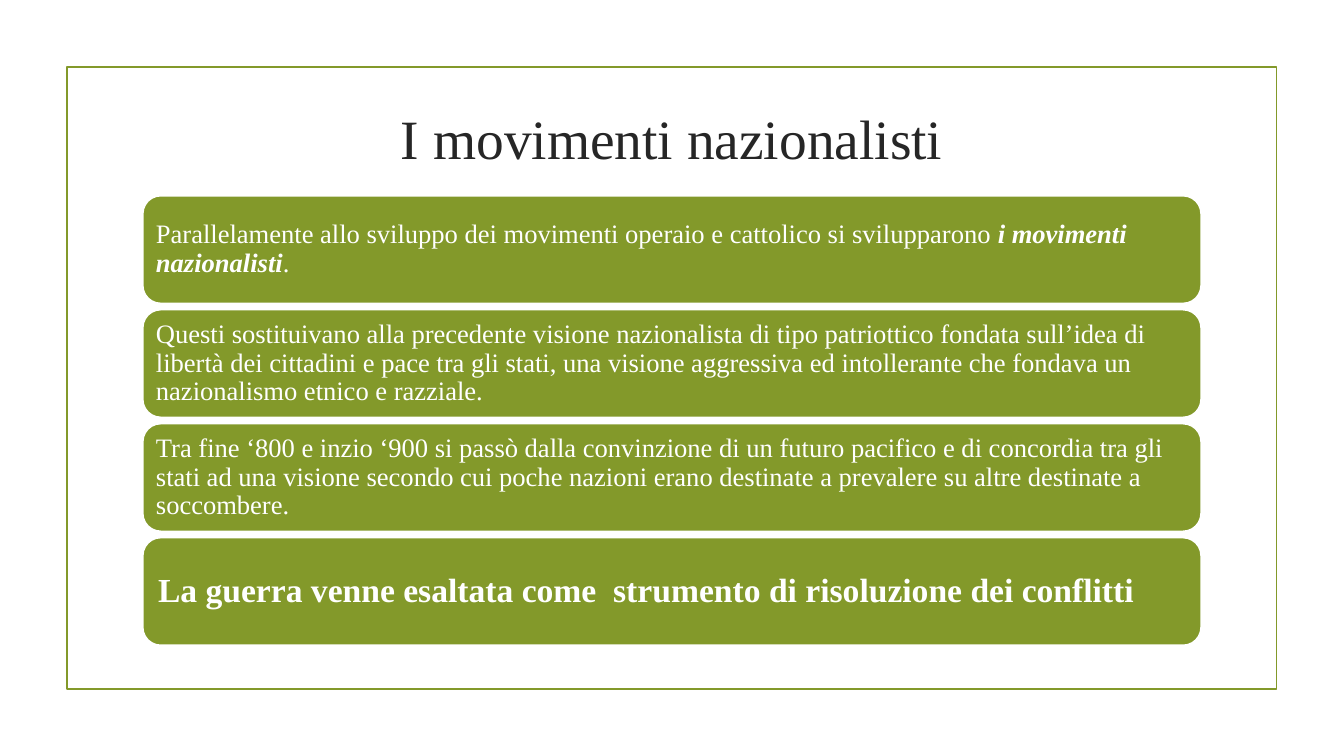
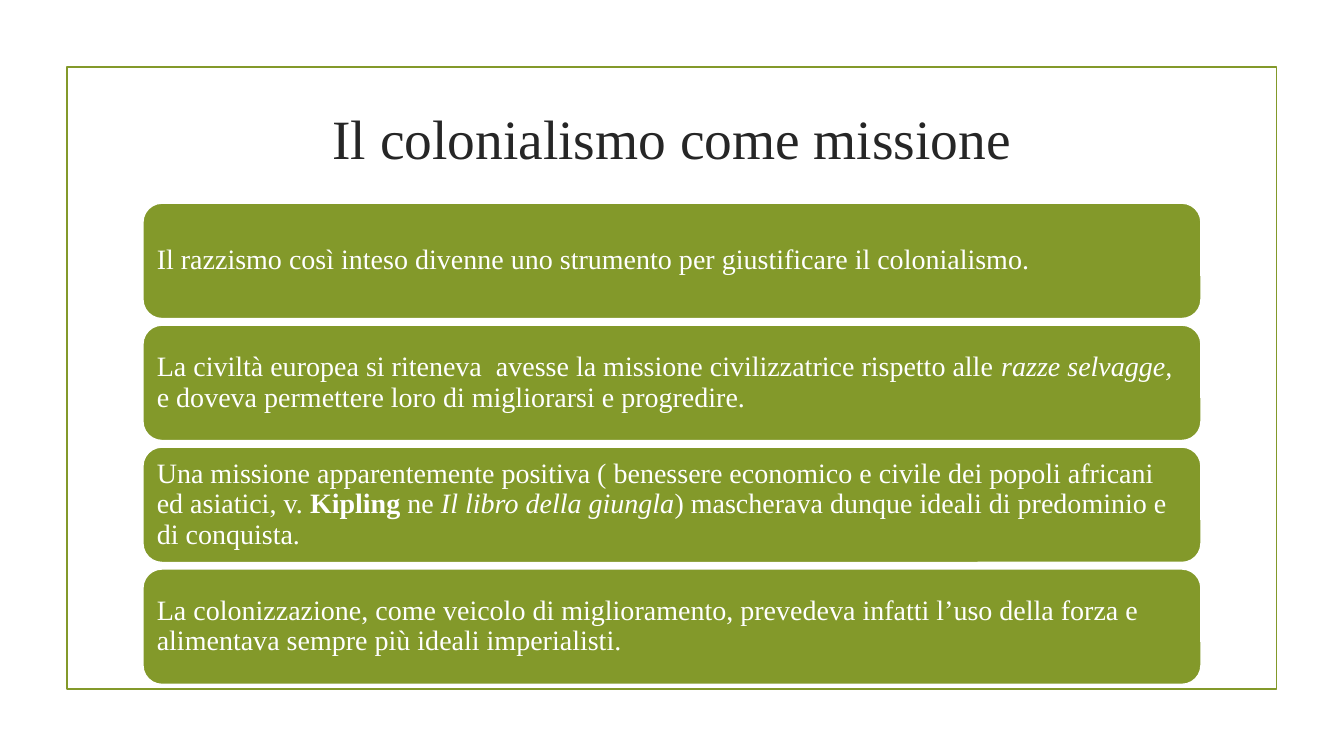
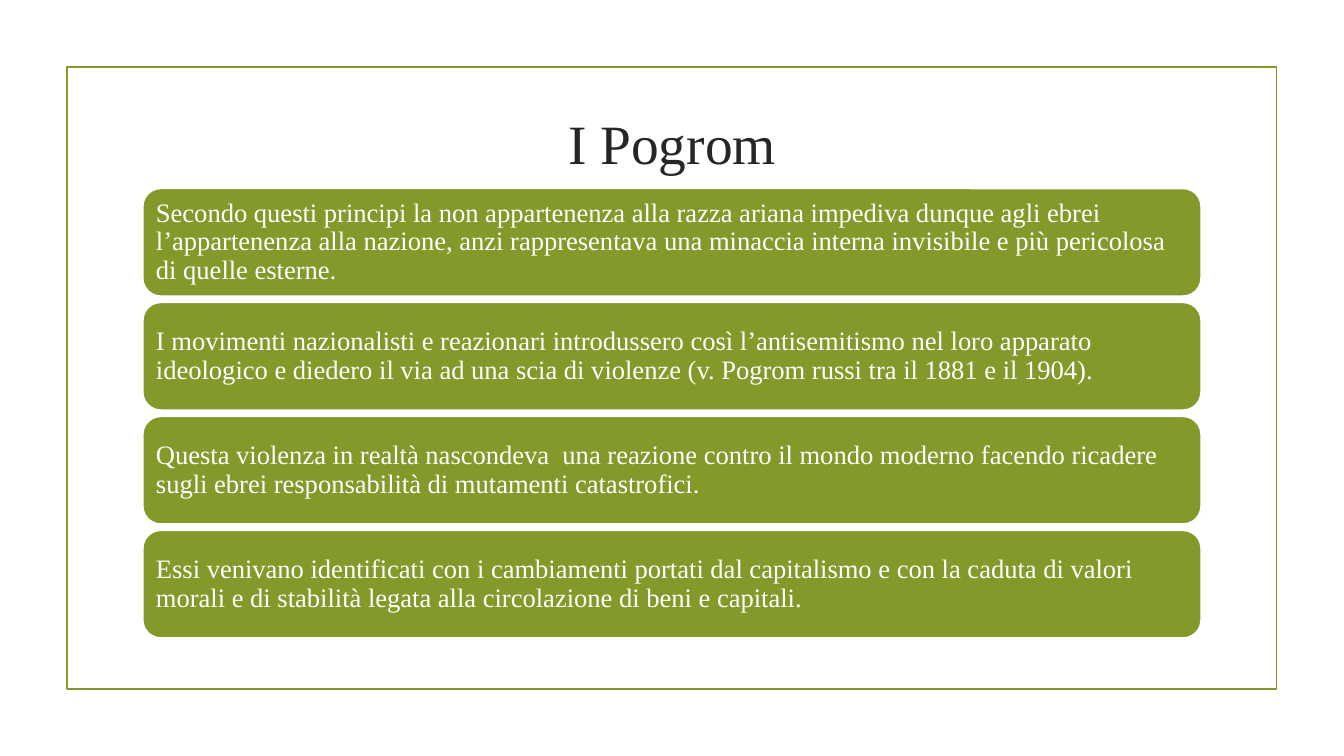
from pptx import Presentation
from pptx.dml.color import RGBColor
from pptx.enum.shapes import MSO_SHAPE as Kind
from pptx.enum.text import MSO_ANCHOR as Anchor, PP_ALIGN as Align
from pptx.util import Pt

GREEN = RGBColor(0x83, 0x99, 0x2A)
WHITE = RGBColor(0xFF, 0xFF, 0xFF)
DARK = RGBColor(0x26, 0x26, 0x26)
FONT = "Times New Roman"
LEFT, WIDTH, GAP = 102, 756, 4.4
EDGE = 1.25

PAGES = [
    ("I movimenti nazionalisti", 42.5, 139.8, 77, [
        (19, [("Parallelamente allo sviluppo dei movimenti operaio e cattolico si svilupparono ", ""),
              ("i movimenti nazionalisti", "bi"), (".", "")]),
        (19, [("Questi sostituivano alla precedente visione nazionalista di tipo patriottico fondata "
               "sull’idea di libertà dei cittadini e pace tra gli stati, una visione aggressiva ed "
               "intollerante che fondava un nazionalismo etnico e razziale.", "")]),
        (19, [("Tra fine ‘800 e inzio ‘900 si passò dalla convinzione di un futuro pacifico e di "
               "concordia tra gli stati ad una visione secondo cui poche nazioni erano destinate a "
               "prevalere su altre destinate a soccombere.", "")]),
        (24, [("La guerra venne esaltata come  strumento di risoluzione dei conflitti", "b")]),
    ]),
    ("Il colonialismo come missione", 42.5, 145, 82.7, [
        (20, [("Il razzismo così inteso divenne uno strumento per giustificare il colonialismo.", "")]),
        (20, [("La civiltà europea si riteneva  avesse la missione civilizzatrice rispetto alle ", ""),
              ("razze selvagge, ", "i"),
              ("e doveva permettere loro di migliorarsi e progredire.", "")]),
        (20, [("Una missione apparentemente positiva ( benessere economico e civile dei popoli "
               "africani ed asiatici, v. ", ""),
              ("Kipling", "b"), (" ne ", ""), ("Il libro della giungla", "i"),
              (") mascherava dunque ideali di predominio e di conquista.", "")]),
        (20, [("La colonizzazione, come veicolo di miglioramento, prevedeva infatti l’uso della forza "
               "e alimentava sempre più ideali imperialisti.", "")]),
    ]),
    ("I Pogrom", 49.7, 134.6, 77, [
        (19, [("Secondo questi principi la non appartenenza alla razza ariana impediva dunque agli "
               "ebrei l’appartenenza alla nazione, anzi rappresentava una minaccia interna invisibile "
               "e più pericolosa di quelle esterne.", "")]),
        (19, [("I movimenti nazionalisti e reazionari introdussero così l’antisemitismo nel loro "
               "apparato ideologico e diedero il via ad una scia di violenze (v. Pogrom russi tra il "
               "1881 e il 1904).", "")]),
        (19, [("Questa violenza in realtà nascondeva  una reazione contro il mondo moderno facendo "
               "ricadere sugli ebrei responsabilità di mutamenti catastrofici.", "")]),
        (19, [("Essi venivano identificati con i cambiamenti portati dal capitalismo e con la caduta "
               "di valori morali e di stabilità legata alla circolazione di beni e capitali.", "")]),
    ]),
]


def style(font, size, color):
    font.name = FONT
    font.size = Pt(size)
    font.color.rgb = color


def add_box(slide, kind, x, y, w, h, line):
    box = slide.shapes.add_shape(kind, Pt(x), Pt(y), Pt(w), Pt(h))
    box.shadow.inherit = False
    box.line.color.rgb = line
    box.line.width = Pt(EDGE)
    return box


def add_frame(slide):
    frame = add_box(slide, Kind.RECTANGLE, 47.8, 48, 864, 444, GREEN)
    frame.fill.background()


def add_title(slide, text, height):
    box = slide.shapes.add_textbox(Pt(LEFT), Pt(77), Pt(WIDTH), Pt(height))
    frame = box.text_frame
    frame.word_wrap = True
    frame.vertical_anchor = Anchor.MIDDLE
    frame.text = text
    para = frame.paragraphs[0]
    para.alignment = Align.CENTER
    style(para.runs[0].font, 39.6, DARK)


def add_card(slide, top, height, size, parts):
    card = add_box(slide, Kind.ROUNDED_RECTANGLE, LEFT, top, WIDTH, height, WHITE)
    card.fill.solid()
    card.fill.fore_color.rgb = GREEN
    frame = card.text_frame
    frame.word_wrap = True
    frame.vertical_anchor = Anchor.MIDDLE
    inset = Pt(0.3 * size)
    frame.margin_left = frame.margin_right = inset
    frame.margin_top = frame.margin_bottom = inset
    para = frame.paragraphs[0]
    para.alignment = Align.LEFT
    para.line_spacing = 0.9
    for text, marks in parts:
        run = para.add_run()
        run.text = text
        style(run.font, size, WHITE)
        run.font.bold = "b" in marks
        run.font.italic = "i" in marks


def main():
    deck = Presentation()
    deck.slide_width, deck.slide_height = Pt(960), Pt(540)
    for title, room, top, height, cards in PAGES:
        slide = deck.slides.add_slide(deck.slide_layouts[6])
        add_frame(slide)
        add_title(slide, title, room)
        for row, (size, parts) in enumerate(cards):
            add_card(slide, top + row * (height + GAP), height, size, parts)
    deck.save("out.pptx")


if __name__ == "__main__":
    main()
